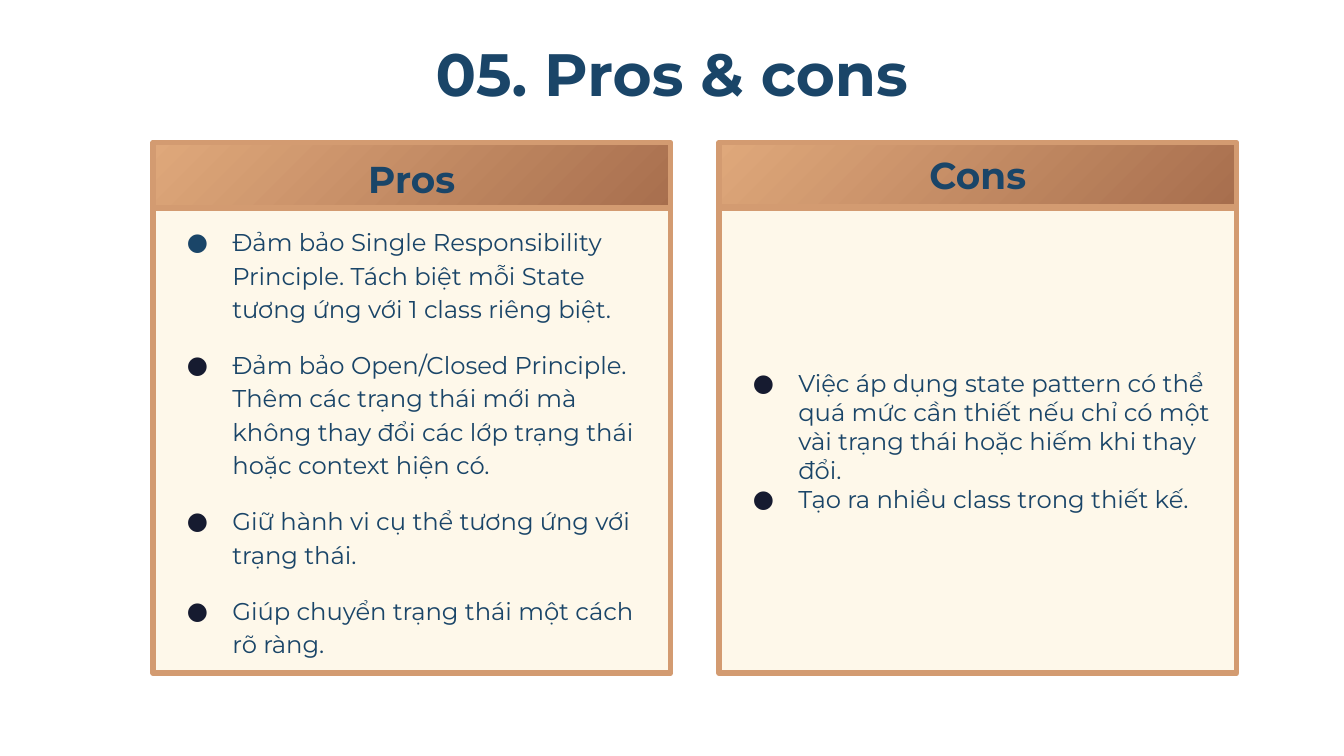
from lxml import etree
from pptx import Presentation
from pptx.dml.color import RGBColor
from pptx.enum import shapes, text
from pptx.oxml import ns
from pptx.util import Pt

FONT = "Montserrat"
NAVY, INK, COPPER, CREAM = "1A4568", "161B30", "D39B71", "FEF8EA"
HEADER_GRADIENT = ("DFA87B", "A76E4D")

TITLE = "05. Pros & cons"
CARDS = [
    {
        "heading": "Pros",
        "header_height": 38.9,
        "spacing": {"line_spacing": 1.15, "space_before": Pt(12)},
        "bullet_colors": [NAVY, INK, INK, INK],
        "points": [
            "Đảm bảo Single Responsibility Principle. Tách biệt mỗi State "
            "tương ứng với 1 class riêng biệt.",
            "Đảm bảo Open/Closed Principle. Thêm các trạng thái mới mà "
            "không thay đổi các lớp trạng thái hoặc context hiện có.",
            "Giữ hành vi cụ thể tương ứng với trạng thái.",
            "Giúp chuyển trạng thái một cách rõ ràng.",
        ],
    },
    {
        "heading": "Cons",
        "header_height": 34.6,
        "spacing": {"line_spacing": 1.0, "space_before": Pt(0)},
        "bullet_colors": [INK, INK],
        "points": [
            "Việc áp dụng state pattern có thể quá mức cần thiết nếu chỉ có "
            "một vài trạng thái hoặc hiếm khi thay đổi.",
            "Tạo ra nhiều class trong thiết kế.",
        ],
    },
]

CARD_LEFT, CARD_WIDTH, CARD_GAP = 82, 277.2, 26
HEADER_TOP, BODY_TOP, BODY_HEIGHT = 76.3, 111.6, 249.1
INDENT, HANGING = 36, 24.4


def rgb(color):
    return RGBColor.from_string(color)


def set_frame(sp, margin_x, margin_y, anchor):
    tf = sp.text_frame
    settings = {
        "word_wrap": True,
        "auto_size": text.MSO_AUTO_SIZE.NONE,
        "vertical_anchor": anchor,
        "margin_left": Pt(margin_x),
        "margin_right": Pt(margin_x),
        "margin_top": Pt(margin_y),
        "margin_bottom": Pt(margin_y),
    }
    for name, value in settings.items():
        setattr(tf, name, value)
    return tf


def write(p, words, size, bold=False, align=text.PP_ALIGN.CENTER):
    p.alignment = align
    r = p.add_run()
    r.text = words
    for name, value in {"name": FONT, "size": Pt(size), "bold": bold}.items():
        setattr(r.font, name, value)
    r.font.color.rgb = rgb(NAVY)


def add_bullet(p, color):
    pPr = p._p.get_or_add_pPr()
    pPr.set("marL", str(Pt(INDENT)))
    pPr.set("indent", str(-Pt(HANGING)))
    bu_clr = etree.SubElement(pPr, ns.qn("a:buClr"))
    etree.SubElement(bu_clr, ns.qn("a:srgbClr"), val=color)
    etree.SubElement(pPr, ns.qn("a:buFont"), typeface=FONT)
    etree.SubElement(pPr, ns.qn("a:buChar"), char="●")


def add_box(s, left, top, height):
    sp = s.shapes.add_shape(shapes.MSO_SHAPE.RECTANGLE, Pt(left), Pt(top),
                            Pt(CARD_WIDTH), Pt(height))
    sp.shadow.inherit = False
    sp.line.color.rgb = rgb(COPPER)
    sp.line.width = Pt(3)
    return sp


def add_card(s, left, card):
    header = add_box(s, left, HEADER_TOP, card["header_height"])
    header.fill.gradient()
    header.fill.gradient_angle = 315
    for stop, color in zip(header.fill.gradient_stops, HEADER_GRADIENT):
        stop.color.rgb = rgb(color)
    tf = set_frame(header, 5, 3, text.MSO_ANCHOR.MIDDLE)
    write(tf.paragraphs[0], card["heading"], 20, bold=True)

    body = add_box(s, left, BODY_TOP, BODY_HEIGHT)
    body.fill.solid()
    body.fill.fore_color.rgb = rgb(CREAM)
    tf = set_frame(body, 6.5, 4.3, text.MSO_ANCHOR.MIDDLE)
    for i, (point, color) in enumerate(zip(card["points"], card["bullet_colors"])):
        p = tf.add_paragraph() if i else tf.paragraphs[0]
        for name, value in card["spacing"].items():
            setattr(p, name, value)
        add_bullet(p, color)
        write(p, point, 13, align=text.PP_ALIGN.LEFT)


def main():
    prs = Presentation()
    prs.slide_width, prs.slide_height = Pt(720), Pt(405)
    s = prs.slides.add_slide(prs.slide_layouts[5])

    title = s.shapes.title
    title.left, title.top, title.width, title.height = map(Pt, (222.5, 16.6, 275, 56))
    tf = set_frame(title, 5, 3, text.MSO_ANCHOR.TOP)
    write(tf.paragraphs[0], TITLE, 32, bold=True)

    for i, card in enumerate(CARDS):
        add_card(s, CARD_LEFT + i * (CARD_WIDTH + CARD_GAP), card)

    prs.save("out.pptx")


if __name__ == "__main__":
    main()
